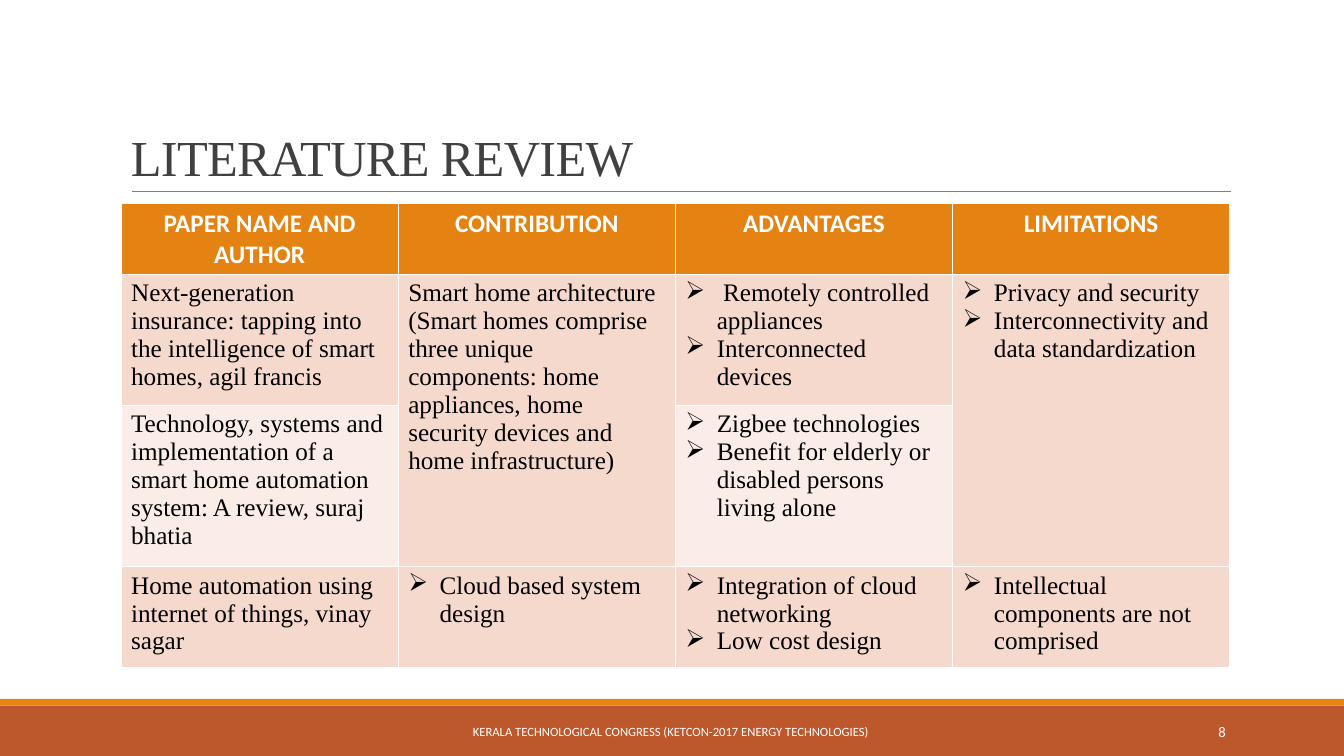
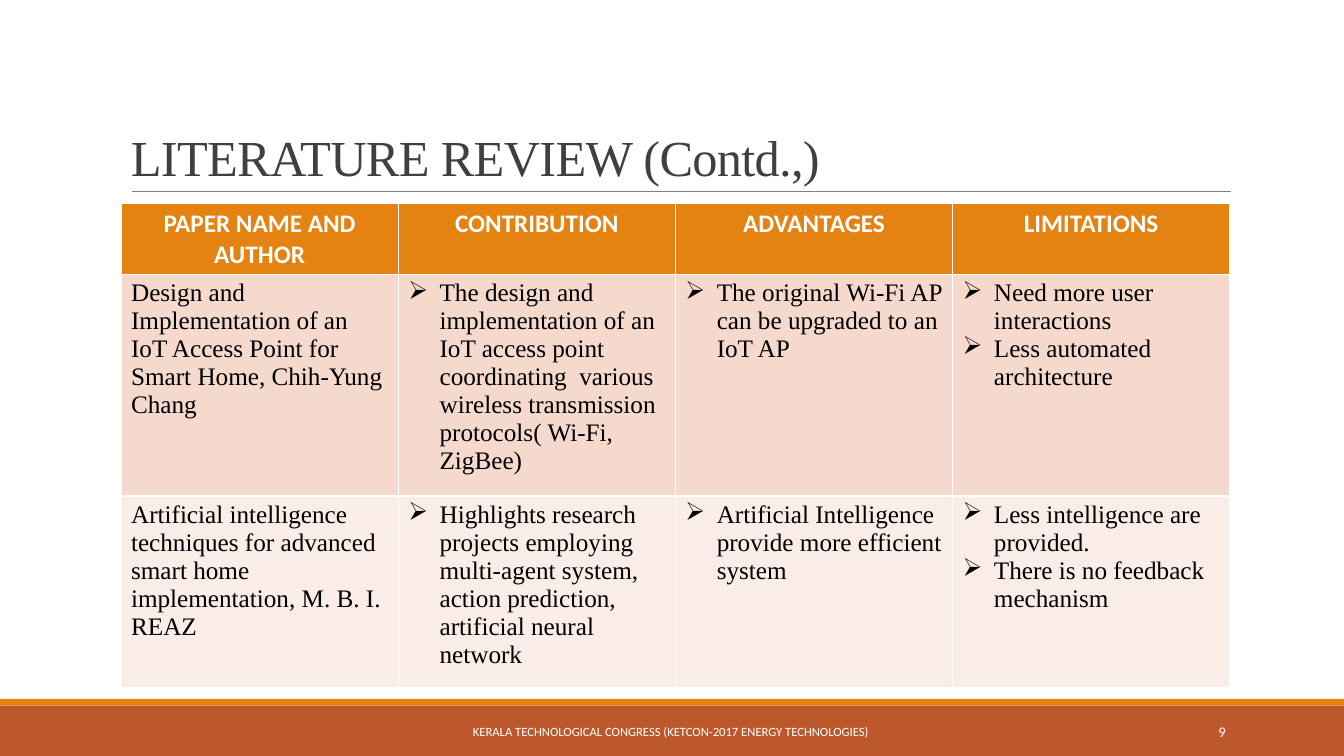
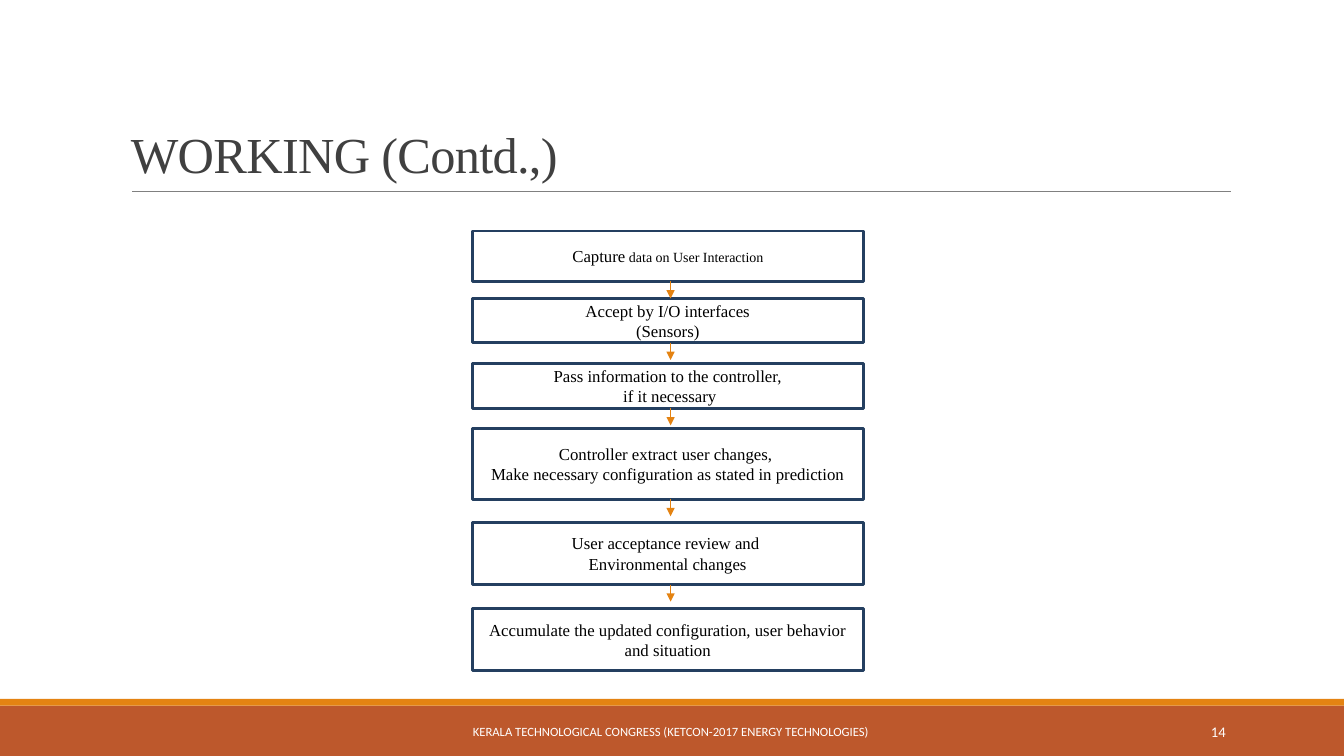
from dataclasses import dataclass
from typing import Optional

from lxml import etree
from pptx import Presentation
from pptx.dml.color import RGBColor
from pptx.enum import shapes, text
from pptx.oxml import ns
from pptx.util import Cm, Pt

SLIDE_WIDTH, SLIDE_HEIGHT = Cm(33.87), Cm(19.05)
WHITE = RGBColor(0xFF, 0xFF, 0xFF)
BLACK = RGBColor(0, 0, 0)
CHARCOAL = RGBColor(0x40, 0x40, 0x40)
GRAY = RGBColor(0x80, 0x80, 0x80)
ORANGE = RGBColor(0xE4, 0x83, 0x12)
RUST = RGBColor(0xBD, 0x58, 0x2C)
NAVY = RGBColor(0x24, 0x3F, 0x60)
ROW_TINTS = (RGBColor(0xF5, 0xD9, 0xCC), RGBColor(0xFA, 0xED, 0xE7))

SERIF, SANS = "Times New Roman", "Calibri"
LEFT, CENTER, RIGHT = text.PP_ALIGN.LEFT, text.PP_ALIGN.CENTER, text.PP_ALIGN.RIGHT
CONGRESS = "KERALA TECHNOLOGICAL CONGRESS (KETCON-2017 ENERGY TECHNOLOGIES) "
HEADINGS = ("PAPER NAME AND AUTHOR", "CONTRIBUTION", "ADVANTAGES", "LIMITATIONS")
HEADING_HEIGHT = Cm(1.78)
BULLET_INDENT = Cm(0.79)
STEP_LEFT, STEP_WIDTH = Cm(11.9), Cm(9.86)
ARROW_X, ARROW_LENGTH = Cm(16.9), Cm(0.43)


@dataclass(frozen=True)
class Entry:
    """Content of one table cell, one paragraph per line."""
    lines: tuple[str, ...]
    bulleted: bool = False
    rows: int = 1


@dataclass(frozen=True)
class Paper:
    """One table row; None marks a cell covered by the one above."""
    height: float
    entries: tuple[Optional[Entry], ...]


@dataclass(frozen=True)
class Step:
    top: float
    height: float
    lines: tuple[str, ...]
    detail: str = ""


def plain(*lines: str, rows: int = 1) -> Entry:
    return Entry(lines, rows=rows)


def bullets(*lines: str, rows: int = 1) -> Entry:
    return Entry(lines, True, rows)


REVIEW = (
    Paper(3.07, (
        plain("Next-generation insurance: tapping into the intelligence of smart homes, "
              "agil francis"),
        plain("Smart home architecture",
              "(Smart homes comprise three unique components: home appliances, "
              "home security devices and home infrastructure)", rows=2),
        bullets(" Remotely controlled appliances", "Interconnected devices"),
        bullets("Privacy and security", "Interconnectivity and data standardization", rows=2))),
    Paper(3.78, (
        plain("Technology, systems and implementation of a smart home automation system: "
              "A review, suraj bhatia"),
        None,
        bullets("Zigbee technologies", "Benefit for elderly or disabled persons living alone"),
        None)),
    Paper(2.34, (
        plain("Home automation using internet of things, vinay sagar"),
        bullets("Cloud based system design"),
        bullets("Integration of cloud networking", "Low cost design"),
        bullets("Intellectual components are not comprised"))),
)
REVIEW_CONTINUED = (
    Paper(5.18, (
        plain("Design and Implementation of an IoT Access Point for Smart Home, Chih-Yung Chang"),
        bullets("The design and implementation of an IoT access point coordinating  various "
                "wireless transmission protocols( Wi-Fi, ZigBee)"),
        bullets("The original Wi-Fi AP can be upgraded to an IoT AP"),
        bullets("Need more user interactions", "Less automated architecture"))),
    Paper(4.47, (
        plain("Artificial intelligence techniques for advanced smart home implementation, "
              "M. B. I. REAZ"),
        bullets("Highlights research projects employing multi-agent system, action prediction, "
                "artificial neural network"),
        bullets("Artificial Intelligence provide more efficient system"),
        bullets("Less intelligence are provided.", "There is no feedback mechanism"))),
)
STEPS = (
    Step(5.82, 1.27, ("Capture",), " data on User Interaction"),
    Step(7.52, 1.12, ("Accept by I/O interfaces", "(Sensors)")),
    Step(9.17, 1.12, ("Pass information to the controller,", " if it necessary")),
    Step(10.8, 1.78, ("Controller extract user changes, ",
                      "Make necessary configuration as stated in prediction")),
    Step(13.16, 1.57, ("User acceptance review and ", "Environmental changes")),
    Step(15.34, 1.55, ("Accumulate the updated configuration, user behavior and situation",)),
)


def write(paragraph, words: str, *, size: float, font: str = SERIF, color: RGBColor = BLACK,
          bold: bool = False, align=LEFT, tracking: int = 0) -> None:
    """Append a formatted run; tracking is in hundredths of a point."""
    paragraph.alignment = align
    run = paragraph.add_run()
    run.text = words
    run.font.name, run.font.size, run.font.bold = font, Pt(size), bold
    run.font.color.rgb = color
    if tracking:
        run.font._element.set("spc", str(tracking))


def write_lines(frame, lines: tuple[str, ...], **look) -> list:
    paragraphs = [frame.paragraphs[0]] + [frame.add_paragraph() for _ in lines[1:]]
    for paragraph, line in zip(paragraphs, lines):
        write(paragraph, line, **look)
    return paragraphs


def add_label(slide, words: str, left, top, width, height, *,
              anchor=text.MSO_ANCHOR.MIDDLE, **look):
    frame = slide.shapes.add_textbox(left, top, width, height).text_frame
    frame.word_wrap = True
    frame.vertical_anchor = anchor
    return write_lines(frame, (words,), **look)[0]


def add_band(slide, top, height, color: RGBColor) -> None:
    band = slide.shapes.add_shape(shapes.MSO_SHAPE.RECTANGLE, 0, top, SLIDE_WIDTH, height)
    band.shadow.inherit = False
    band.fill.solid()
    band.fill.fore_color.rgb = color
    band.line.fill.background()


def add_line(slide, start, end, color: RGBColor, weight: float, arrow: bool = False) -> None:
    line = slide.shapes.add_connector(shapes.MSO_CONNECTOR.STRAIGHT, *start, *end)
    line.line.color.rgb = color
    line.line.width = Pt(weight)
    if arrow:
        etree.SubElement(line.line._get_or_add_ln(), ns.qn("a:tailEnd"), type="triangle")
    etree.SubElement(line._element.spPr, ns.qn("a:effectLst"))


def add_page(deck, title: str, number: int, title_height=Cm(4.04)):
    """Add a slide with the shared bands, title, rule and footer."""
    slide = deck.slides.add_slide(deck.slide_layouts[6])
    add_band(slide, Cm(17.78), Cm(1.27), RUST)
    add_band(slide, Cm(17.61), Cm(0.17), ORANGE)
    add_line(slide, (Cm(3.33), Cm(4.83)), (Cm(31.01), Cm(4.83)), GRAY, 0.5)
    heading = add_label(slide, title, Cm(3.05), Cm(0.79), Cm(27.94), title_height,
                        anchor=text.MSO_ANCHOR.BOTTOM, size=36, color=CHARCOAL, tracking=-50)
    heading.line_spacing = 0.85
    add_label(slide, CONGRESS, Cm(10.24), Cm(17.93), Cm(13.39), Cm(1.02),
              size=9, font=SANS, color=WHITE, align=CENTER)
    add_label(slide, str(number), Cm(27.51), Cm(17.93), Cm(3.63), Cm(1.02),
              size=10.5, font=SANS, color=WHITE, align=RIGHT)
    return slide


def add_bullet(paragraph) -> None:
    properties = paragraph._p.get_or_add_pPr()
    properties.set("marL", str(BULLET_INDENT))
    properties.set("indent", str(-BULLET_INDENT))
    etree.SubElement(properties, ns.qn("a:buChar"), char="➢")


def fill_cell(cell, color: RGBColor) -> None:
    cell.fill.solid()
    cell.fill.fore_color.rgb = color


def add_review(slide, papers: tuple[Paper, ...]) -> None:
    heights = [HEADING_HEIGHT] + [Cm(paper.height) for paper in papers]
    table = slide.shapes.add_table(len(heights), len(HEADINGS), Cm(3.05), Cm(5.13),
                                   Cm(27.94), sum(heights)).table
    for row, height in zip(table.rows, heights):
        row.height = height
    for column, heading in enumerate(HEADINGS):
        cell = table.cell(0, column)
        fill_cell(cell, ORANGE)
        write_lines(cell.text_frame, (heading,), size=18, font=SANS, color=WHITE,
                    bold=True, align=CENTER)
    for row, paper in enumerate(papers, start=1):
        for column, entry in enumerate(paper.entries):
            cell = table.cell(row, column)
            fill_cell(cell, ROW_TINTS[(row - 1) % 2])
            if entry is None:
                continue
            if entry.rows > 1:
                cell.merge(table.cell(row + entry.rows - 1, column))
            for paragraph in write_lines(cell.text_frame, entry.lines, size=18):
                if entry.bulleted:
                    add_bullet(paragraph)


def add_step(slide, step: Step) -> None:
    box = slide.shapes.add_shape(shapes.MSO_SHAPE.RECTANGLE, STEP_LEFT, Cm(step.top),
                                 STEP_WIDTH, Cm(step.height))
    box.shadow.inherit = False
    box.fill.background()
    box.line.color.rgb = NAVY
    box.line.width = Pt(2)
    box.text_frame.word_wrap = True
    box.text_frame.vertical_anchor = text.MSO_ANCHOR.MIDDLE
    paragraphs = write_lines(box.text_frame, step.lines, size=12, align=CENTER)
    if step.detail:
        write(paragraphs[-1], step.detail, size=10, align=CENTER)


def add_flow(slide, steps: tuple[Step, ...]) -> None:
    for step in steps:
        add_step(slide, step)
    for step in steps[:-1]:
        bottom = Cm(step.top + step.height)
        add_line(slide, (ARROW_X, bottom), (ARROW_X, bottom + ARROW_LENGTH), ORANGE, 1, arrow=True)


def main() -> None:
    deck = Presentation()
    deck.slide_width, deck.slide_height = SLIDE_WIDTH, SLIDE_HEIGHT
    add_review(add_page(deck, "LITERATURE REVIEW", 8), REVIEW)
    add_review(add_page(deck, "LITERATURE REVIEW (Contd.,)", 9), REVIEW_CONTINUED)
    add_flow(add_page(deck, "WORKING (Contd.,)", 14, title_height=Cm(3.96)), STEPS)
    deck.save("out.pptx")


if __name__ == "__main__":
    main()
